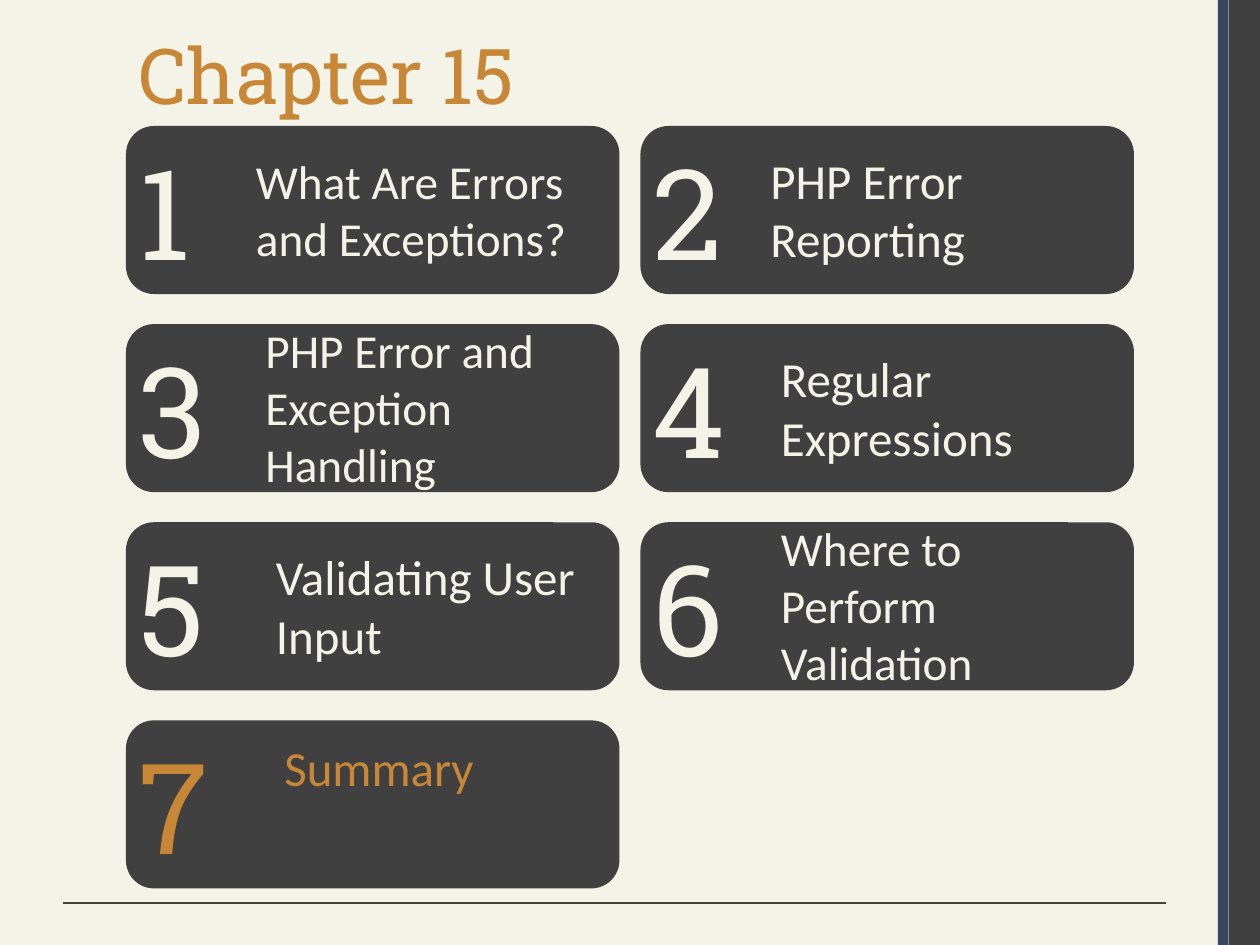
from lxml.etree import SubElement
from pptx import Presentation
from pptx.dml.color import RGBColor
from pptx.enum.shapes import MSO_CONNECTOR, MSO_SHAPE
from pptx.oxml.ns import qn
from pptx.util import Inches, Pt

CREAM = RGBColor(0xF3, 0xF3, 0xE7)
DARK = RGBColor(0x40, 0x40, 0x40)
NAVY = RGBColor(0x37, 0x47, 0x5F)
GOLD = RGBColor(0xC8, 0x87, 0x36)

COLS, ROWS = 120, 90
LEFT, TOP, WIDE, HIGH = 12, 12, 47, 16
STEP, DROP = 49, 18.87
LEAD = 1.22

TOPICS = [
    ("What Are Errors and Exceptions?", 27, 2, 11.2, 0, CREAM),
    ("PHP Error Reporting", 28, 2, 11.2, 0, CREAM),
    ("PHP Error and Exception Handling", 27, 3, 12.1, 0, CREAM),
    ("Regular Expressions", 28, 2, 12.2, 0, CREAM),
    ("Validating User Input", 28, 2, 13.1, 0, CREAM),
    ("Where to Perform Validation", 27, 3, 12.2, 0, CREAM),
    ("Summary", 28, 1, 13.9, -3.5, GOLD),
]


class Deck:
    """Hold the style and the current slide, and draw elements on its grid."""

    def __init__(self):
        self.show = Presentation()
        self.show.slide_width, self.show.slide_height = Inches(10), Inches(7.5)
        self.unit = self.show.slide_width / COLS
        self.head = {"name": "Roboto Slab"}
        self.body = {"name": "Calibri"}
        self.slide = self.show.slides.add_slide(self.show.slide_layouts[6])
        fill = self.slide.background.fill
        fill.solid()
        fill.fore_color.rgb = CREAM

    def place(self, *cells):
        return [round(cell * self.unit) for cell in cells]

    def block(self, kind, cells, color):
        shape = self.slide.shapes.add_shape(kind, *self.place(*cells))
        shape.shadow.inherit = False
        shape.fill.solid()
        shape.fill.fore_color.rgb = color
        shape.line.fill.background()

    def rule(self, cells, color):
        line = self.slide.shapes.add_connector(
            MSO_CONNECTOR.STRAIGHT, *self.place(*cells))
        line.line.color.rgb = color
        line.line.width = Pt(0.75)
        SubElement(line._element.spPr, qn("a:effectLst"))

    def text(self, words, cells, style, size, color):
        box = self.slide.shapes.add_textbox(*self.place(*cells))
        box.text_frame.word_wrap = True
        run = box.text_frame.paragraphs[0].add_run()
        run.text = words
        run.font.color.rgb = color
        for key, value in {**style, "size": Pt(size)}.items():
            setattr(run.font, key, value)

    def card(self, index, words, size, lines, inset, lift, color):
        row, col = divmod(index, 2)
        left, top = LEFT + col * STEP, TOP + row * DROP
        tall = (lines * size * LEAD / 72 + 0.1) * COLS / 10
        mid = top + (HIGH - tall) / 2 + lift
        self.block(MSO_SHAPE.ROUNDED_RECTANGLE, (left, top, WIDE, HIGH), DARK)
        self.text(str(index + 1), (left, top + 0.2, 9, 15.7),
                  self.head, 72, color)
        self.text(words, (left + inset, mid, 33.1, tall),
                  self.body, size, color)


def main():
    deck = Deck()
    deck.block(MSO_SHAPE.RECTANGLE, (117, 0, 3, ROWS), DARK)
    deck.block(MSO_SHAPE.RECTANGLE, (116, 0, 1, ROWS), NAVY)
    deck.rule((111, 86, 6, 86), DARK)
    deck.text("Chapter 15", (LEFT, 2, 104, 14), deck.head, 44, GOLD)
    for index, topic in enumerate(TOPICS):
        deck.card(index, *topic)
    deck.show.save("out.pptx")


if __name__ == "__main__":
    main()
